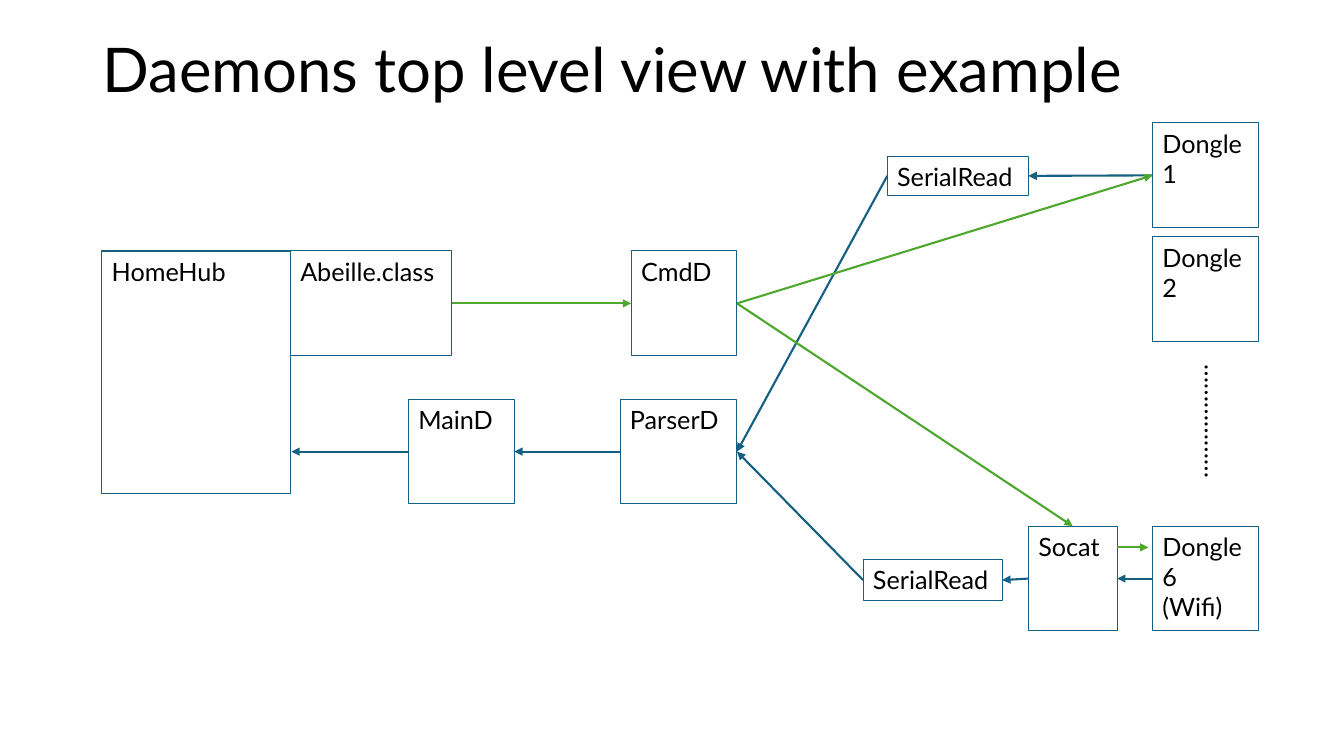
from dataclasses import dataclass
from typing import NamedTuple

import pptx
import pptx.dml.color
import pptx.enum.shapes
import pptx.enum.text
import pptx.oxml
import pptx.oxml.ns
import pptx.util

PX = 9144  # EMU per px, 100 px to the inch
FONT = "Lato"
BLACK, BLUE, GREEN = "000000", "156082", "4EA72E"
TOP, LEFT, BOTTOM, RIGHT = range(4)
BOX_W, BOX_H = 105, 104
DONGLE_X = 1143


@dataclass
class Box:
    text: str
    x: int
    y: int
    w: int = BOX_W
    h: int = BOX_H


class Side(NamedTuple):
    box: str
    site: int


class Point(NamedTuple):
    x: int
    y: int


@dataclass
class Arrow:
    start: Side | Point
    end: Side | Point
    color: str = BLUE


BOXES = {
    "hub": Box("HomeHub", 101, 249, 187, 241),
    "abeille": Box("Abeille.class", 288, 249, 160),
    "cmd": Box("CmdD", 626, 249),
    "main": Box("MainD", 405, 396),
    "parser": Box("ParserD", 615, 396, 116),
    "upper_read": Box("SerialRead", 880, 155, 140, 39),
    "lower_read": Box("SerialRead", 856, 555, 138, 41),
    "socat": Box("Socat", 1020, 522, 88),
    "dongle1": Box("Dongle 1", DONGLE_X, 122),
    "dongle2": Box("Dongle 2", DONGLE_X, 235),
    "dongle6": Box("Dongle 6\n(Wifi)", DONGLE_X, 522),
}

ARROWS = [
    Arrow(Side("dongle1", LEFT), Side("upper_read", RIGHT)),
    Arrow(Side("upper_read", LEFT), Side("parser", RIGHT)),
    Arrow(Side("dongle6", LEFT), Side("socat", RIGHT)),
    Arrow(Side("socat", LEFT), Side("lower_read", RIGHT)),
    Arrow(Side("lower_read", LEFT), Side("parser", RIGHT)),
    Arrow(Side("parser", LEFT), Side("main", RIGHT)),
    Arrow(Side("main", LEFT), Point(289, 448)),
    Arrow(Side("abeille", RIGHT), Side("cmd", LEFT), GREEN),
    Arrow(Side("cmd", RIGHT), Side("dongle1", LEFT), GREEN),
    Arrow(Side("cmd", RIGHT), Side("socat", TOP), GREEN),
    Arrow(Point(1108, 543), Point(1139, 543), GREEN),
]


def rgb(color: str) -> pptx.dml.color.RGBColor:
    return pptx.dml.color.RGBColor.from_string(color)


def set_text(sp, text: str, size: int = 18) -> None:
    tf = sp.text_frame
    tf.text = text
    tf.word_wrap = True
    tf.vertical_anchor = pptx.enum.text.MSO_ANCHOR.TOP
    for p in tf.paragraphs:
        p.alignment = pptx.enum.text.PP_ALIGN.LEFT
        for r in p.runs:
            r.font.name = FONT
            r.font.size = pptx.util.Pt(size)
            r.font.color.rgb = rgb(BLACK)


def add_label(s, label: Box, size: int = 18):
    sp = s.shapes.add_textbox(label.x * PX, label.y * PX, label.w * PX, label.h * PX)
    set_text(sp, label.text, size)
    return sp


def add_box(s, box: Box):
    sp = s.shapes.add_shape(
        pptx.enum.shapes.MSO_SHAPE.RECTANGLE,
        box.x * PX, box.y * PX, box.w * PX, box.h * PX,
    )
    sp.shadow.inherit = False
    sp.fill.background()
    sp.line.color.rgb = rgb(BLUE)
    sp.line.width = pptx.util.Pt(0.75)
    set_text(sp, box.text)
    return sp


def add_arrow(s, arrow: Arrow, shapes: dict) -> None:
    """Draw an arrow, joining each end that is given as a side of a box."""
    line = s.shapes.add_connector(pptx.enum.shapes.MSO_CONNECTOR.STRAIGHT, 0, 0, 0, 0)
    if isinstance(arrow.start, Side):
        line.begin_connect(shapes[arrow.start.box], arrow.start.site)
    else:
        line.begin_x, line.begin_y = arrow.start.x * PX, arrow.start.y * PX
    if isinstance(arrow.end, Side):
        line.end_connect(shapes[arrow.end.box], arrow.end.site)
    else:
        line.end_x, line.end_y = arrow.end.x * PX, arrow.end.y * PX
    line.line.color.rgb = rgb(arrow.color)
    line.line.width = pptx.util.Pt(1.5)
    ns = pptx.oxml.ns.nsdecls("a")
    line.line._get_or_add_ln().append(
        pptx.oxml.parse_xml(f'<a:tailEnd {ns} type="triangle"/>'))
    line._element.spPr.append(pptx.oxml.parse_xml(f"<a:effectLst {ns}/>"))


def main() -> None:
    prs = pptx.Presentation()
    prs.slide_width, prs.slide_height = 1333 * PX, 750 * PX
    s = prs.slides.add_slide(prs.slide_layouts[6])

    title = add_label(s, Box("Daemons top level view with example", 92, 31, 1150, 82), 44)
    title.text_frame.vertical_anchor = pptx.enum.text.MSO_ANCHOR.MIDDLE
    title.text_frame.paragraphs[0].line_spacing = 0.9

    shapes = {name: add_box(s, box) for name, box in BOXES.items()}
    for arrow in ARROWS:
        add_arrow(s, arrow, shapes)

    dots = add_label(s, Box("………………", 1131, 406, 148, 40))
    dots.text_frame.auto_size = pptx.enum.text.MSO_AUTO_SIZE.SHAPE_TO_FIT_TEXT
    dots.rotation = 90

    prs.save("out.pptx")


if __name__ == "__main__":
    main()
